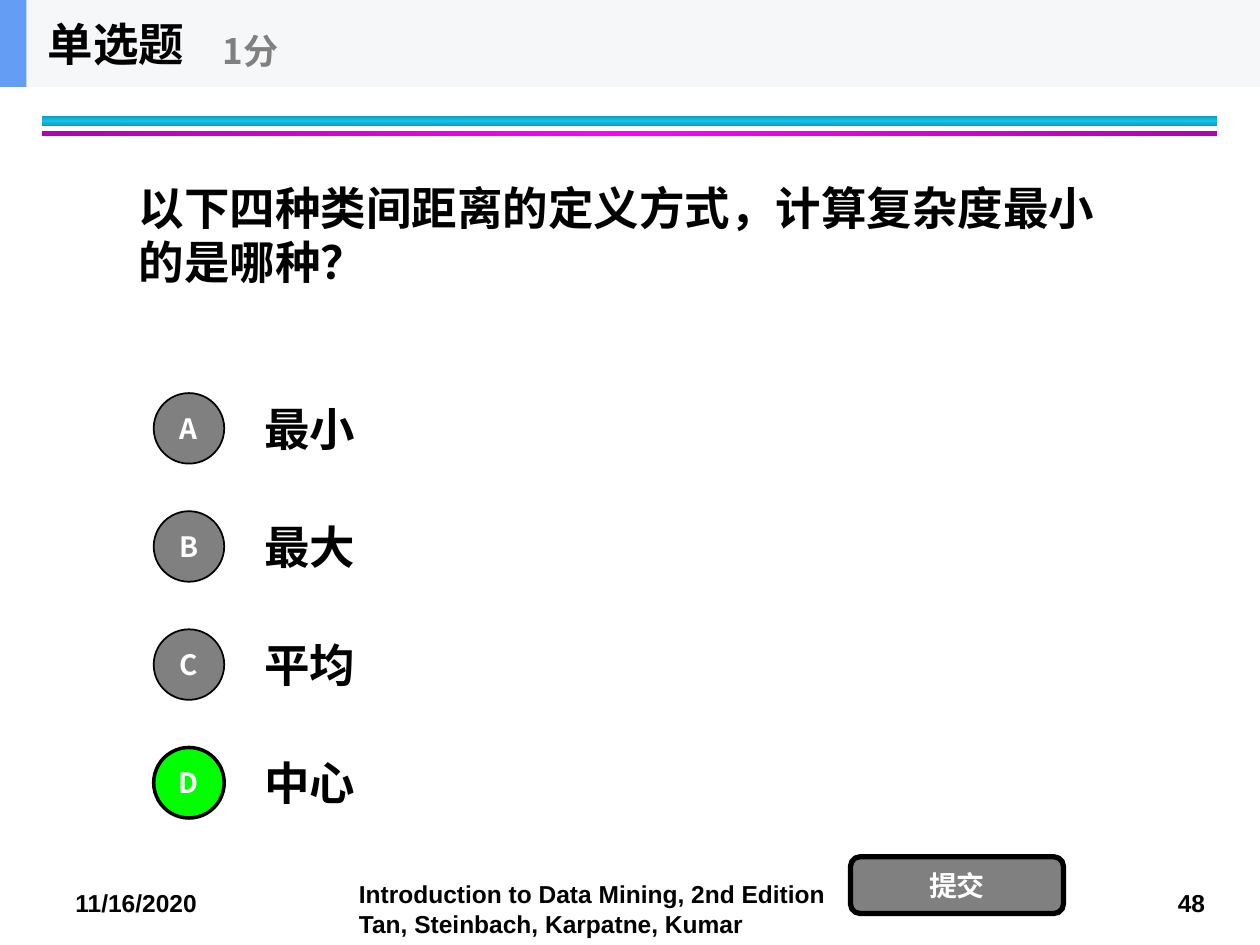
from copy import deepcopy
from dataclasses import dataclass

from lxml import etree
from pptx import Presentation
from pptx.dml.color import RGBColor
from pptx.enum.shapes import MSO_SHAPE
from pptx.enum.text import MSO_ANCHOR, PP_ALIGN
from pptx.oxml.ns import qn
from pptx.util import Inches, Pt

RECT, OVAL, ROUND = MSO_SHAPE.RECTANGLE, MSO_SHAPE.OVAL, MSO_SHAPE.ROUNDED_RECTANGLE
TOP, MID = MSO_ANCHOR.TOP, MSO_ANCHOR.MIDDLE
LEFT, CENTER = PP_ALIGN.LEFT, PP_ALIGN.CENTER


@dataclass(frozen=True)
class Theme:
    black: str = "000000"
    white: str = "FFFFFF"
    gray: str = "808080"
    green: str = "00FF00"
    band: str = "F6F7F8"
    blue: str = "639EF4"
    teal: tuple = ("0E9BBA", "12C2E9", "0E9BBA")
    pink: tuple = ("B200B2", "FF00FF", "B200B2")
    cjk: str = "Noto Sans CJK SC"
    latin: str = "Arial"
    large: int = 26
    score: int = 20
    label: int = 16
    small: int = 14


T = Theme()


def rgb(code):
    return RGBColor.from_string(code)


def write(shape, text, size=T.large, color=T.black, font=T.cjk,
          align=LEFT, anchor=MID, wrap=True, lead=None):
    frame = shape.text_frame
    frame.word_wrap = wrap
    frame.vertical_anchor = anchor
    para = frame.paragraphs[0]
    para.alignment = align
    para.line_spacing = lead
    run = para.add_run()
    run.text = text
    run.font.size = Pt(size)
    run.font.bold = True
    run.font.color.rgb = rgb(color)
    run.font.name = font
    asian = etree.SubElement(run.font._element, qn("a:ea"))
    asian.set("typeface", font)


def label(slide, box, text, **style):
    write(slide.shapes.add_textbox(*map(Inches, box)), text, **style)


def block(slide, kind, box, fill=None, line=0):
    """Add a flat shape, outlined in black when line is a width in points."""
    shape = slide.shapes.add_shape(kind, *map(Inches, box))
    shape.shadow.inherit = False
    if fill:
        shape.fill.solid()
        shape.fill.fore_color.rgb = rgb(fill)
    if line:
        shape.line.color.rgb = rgb(T.black)
        shape.line.width = Pt(line)
    else:
        shape.line.fill.background()
    return shape


def stripe(slide, box, colors, angle):
    """Add a bar with a gradient of three evenly spaced colours."""
    fill = block(slide, RECT, box).fill
    fill.gradient()
    fill.gradient_angle = angle
    first = fill.gradient_stops[0]._gs
    first.addnext(deepcopy(first))
    for i, (stop, color) in enumerate(zip(fill.gradient_stops, colors)):
        stop.color.rgb = rgb(color)
        stop.position = i / 2


def header(slide):
    block(slide, RECT, (0, 0, 10, 0.69), T.band)
    block(slide, RECT, (0, 0, 0.21, 0.69), T.blue)
    label(slide, (0.28, 0, 2.08, 0.69), "单选题")
    label(slide, (1.67, 0.12, 2.5, 0.56), "1分", size=T.score, color=T.gray)


def footer(slide):
    style = dict(size=T.small, font=T.latin, anchor=TOP)
    label(slide, (0.5, 7, 1.33, 0.34), "11/16/2020", **style)
    label(slide, (2.75, 6.93, 4.08, 0.57),
          "Introduction to Data Mining, 2nd Edition Tan, Steinbach, Karpatne, Kumar",
          **style)
    label(slide, (9.25, 7, 0.44, 0.34), "48", wrap=False, **style)


def question(slide, text):
    title = slide.shapes.title
    title.left, title.top, title.width, title.height = map(Inches, (1, 0.69, 8, 2.34))
    write(title, text)


def choices(slide, names, right):
    step = 0.9375
    for i, (key, name) in enumerate(zip("ABCD", names)):
        top = 3.05 + i * step
        label(slide, (2, top, 7, 0.7), name)
        fill, line = (T.green, 2) if key == right else (T.gray, 1)
        mark = block(slide, OVAL, (1.22, top + 0.07, 0.56, 0.56), fill, line)
        write(mark, key, size=T.label, color=T.white, align=CENTER, wrap=False)


def button(slide, text):
    shape = block(slide, ROUND, (6.75, 6.8, 1.69, 0.45), T.gray, 3)
    write(shape, text, size=T.label, color=T.white, align=CENTER)


def main():
    deck = Presentation()
    deck.slide_width, deck.slide_height = Inches(10), Inches(7.5)
    slide = deck.slides.add_slide(deck.slide_layouts[5])
    stripe(slide, (0.33, 0.92, 9.33, 0.08), T.teal, 90)
    stripe(slide, (0.33, 1.04, 9.33, 0.04), T.pink, 0)
    footer(slide)
    question(slide, "以下四种类间距离的定义方式，计算复杂度最小的是哪种？")
    choices(slide, ("最小", "最大", "平均", "中心"), right="D")
    button(slide, "提交")
    header(slide)
    deck.save("out.pptx")


if __name__ == "__main__":
    main()
